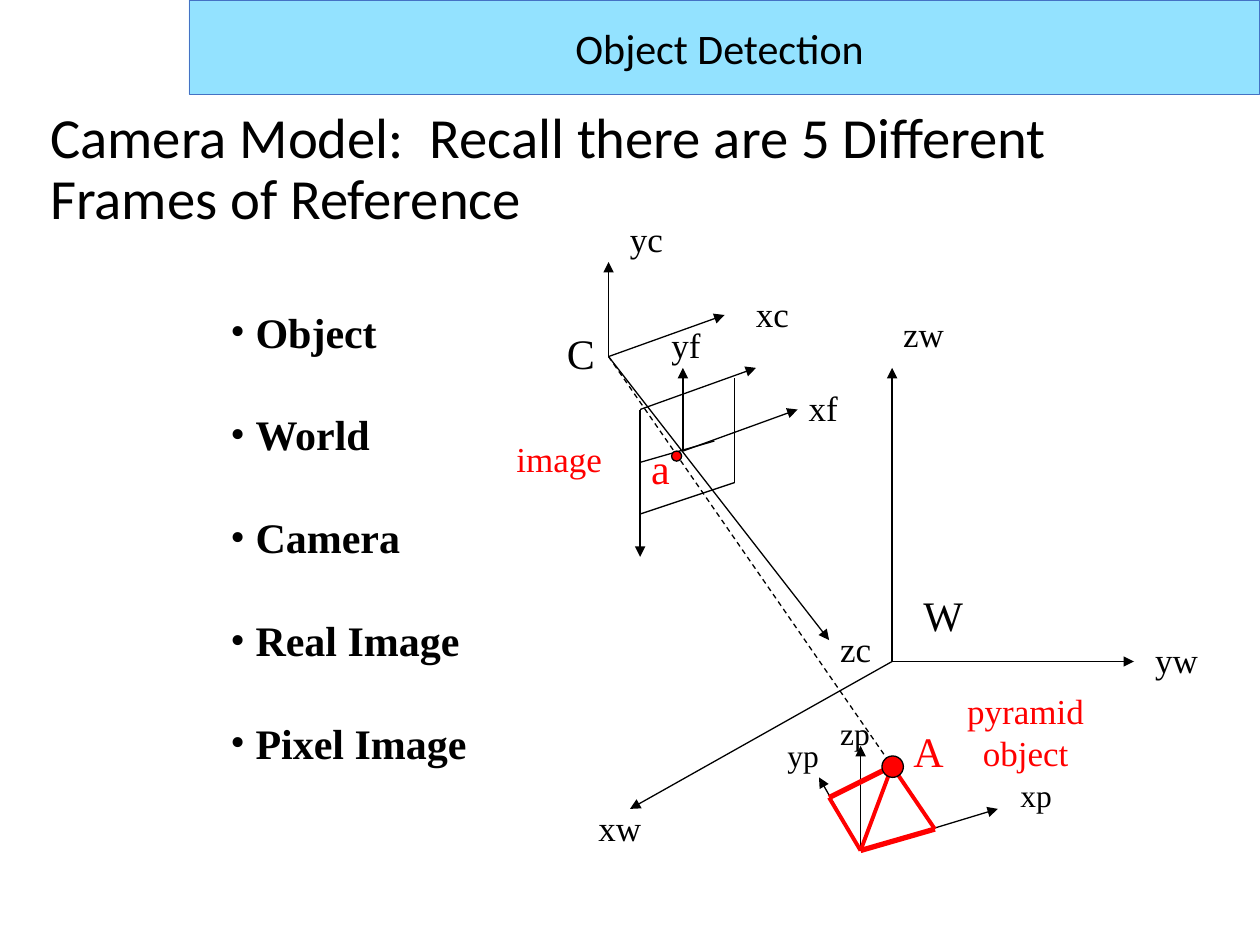
from pptx import Presentation
from pptx.dml.color import RGBColor
from pptx.enum.dml import MSO_LINE
from pptx.enum.shapes import MSO_CONNECTOR, MSO_SHAPE
from pptx.enum.text import MSO_ANCHOR, PP_ALIGN
from pptx.oxml.ns import qn
from pptx.util import Inches, Pt
from lxml import etree

LINE = MSO_CONNECTOR.STRAIGHT
RECT, OVAL = MSO_SHAPE.RECTANGLE, MSO_SHAPE.OVAL
DASH = MSO_LINE.DASH
MIDDLE = MSO_ANCHOR.MIDDLE
LEFT, CENTER = PP_ALIGN.LEFT, PP_ALIGN.CENTER
BLACK, RED = "000000", "FF0000"
SERIF, SANS = "Times New Roman", "Calibri"


def paint(text):
    return RGBColor.from_string(text)


def write(frame, text, size=20, color=BLACK, font=SERIF, bold=False,
          align=LEFT, gap=0, space=1.0, bullet=None, indent=0):
    for i, row in enumerate(text.split("\n")):
        par = frame.paragraphs[0] if i == 0 else frame.add_paragraph()
        par.alignment = align
        par.line_spacing = space
        par.space_before = Pt(gap if i else 0)
        if bullet:
            props = par._p.get_or_add_pPr()
            props.set("marL", str(Inches(indent)))
            props.set("indent", str(-Inches(indent)))
            etree.SubElement(props, qn("a:buFont")).set("typeface", font)
            etree.SubElement(props, qn("a:buChar")).set("char", bullet)
        run = par.add_run()
        run.text = row
        run.font.size = Pt(size)
        run.font.name = font
        run.font.bold = bold
        run.font.color.rgb = paint(color)


class Sketch:
    def __init__(self, slide):
        self.slide = slide

    def label(self, box, text, wrap=False, top=0.05, **style):
        shape = self.slide.shapes.add_textbox(*map(Inches, box))
        frame = shape.text_frame
        frame.word_wrap = wrap
        frame.margin_top = Inches(top)
        write(frame, text, **style)

    def line(self, start, end, color=BLACK, width=0.75, arrow=False, dash=None):
        ends = map(Inches, (*start, *end))
        line = self.slide.shapes.add_connector(LINE, *ends)
        line.line.color.rgb = paint(color)
        line.line.width = Pt(width)
        if dash:
            line.line.dash_style = dash
        props = line._element.spPr
        if arrow:
            tail = etree.SubElement(props.find(qn("a:ln")), qn("a:tailEnd"))
            tail.set("type", "triangle")
        etree.SubElement(props, qn("a:effectLst"))

    def axes(self, start, *ends):
        for end in ends:
            self.line(start, end, arrow=True)

    def shape(self, kind, box, fill, edge=BLACK, width=0.75):
        shape = self.slide.shapes.add_shape(kind, *map(Inches, box))
        shape.shadow.inherit = False
        shape.fill.solid()
        shape.fill.fore_color.rgb = paint(fill)
        shape.line.color.rgb = paint(edge)
        shape.line.width = Pt(width)
        return shape

    def dot(self, left, top, size):
        self.shape(OVAL, (left, top, size, size), RED)


def main():
    deck = Presentation()
    deck.slide_width, deck.slide_height = Inches(10), Inches(7.5)
    art = Sketch(deck.slides.add_slide(deck.slide_layouts[6]))

    art.label((0.3, 0.87, 8.62, 1.45),
              "Camera Model:  Recall there are 5 Different Frames of Reference",
              wrap=True, top=0, size=32.4, font=SANS, space=0.9)
    art.label((1.73, 2.38, 2.3, 3.69),
              "Object\nWorld\nCamera\nReal Image\nPixel Image",
              wrap=True, size=24, bold=True, gap=30, bullet="•", indent=0.2)

    camera, world, focus = (4.83, 2.83), (7.08, 5.25), (5.42, 3.58)
    corner, edge = (5.08, 3.25), (5.83, 3.83)
    tip, base, left, right = (7.08, 6.08), (6.83, 6.75), (6.58, 6.33), (7.42, 6.58)

    art.axes(camera, (4.83, 2.08), (5.75, 2.5), (6.58, 5.08))
    art.axes(world, (7.08, 2.92), (9, 5.25), (5, 6.42))
    art.axes(base, (6.5, 6.17), (6.83, 5.92), (7.92, 6.42))
    art.axes(corner, (6, 2.92), (5.08, 4.42))
    art.axes(focus, (6.33, 3.25), (5.42, 2.92))
    art.line((5.83, 3), edge)
    art.line(edge, (5.08, 4.08))
    art.line((5.67, 3.5), (5.08, 3.67))
    art.line(camera, tip, dash=DASH)

    for start, end, width in ((tip, left, 3), (tip, right, 2.25),
                              (tip, base, 2.25), (base, right, 3),
                              (base, left, 2.25)):
        art.line(start, end, RED, width)
    art.dot(7, 6, 0.17)
    art.dot(5.33, 3.58, 0.08)

    names = {
        (20, 0.43, BLACK): (
            ("yc", 4.9, 1.68, 0.46), ("xc", 5.9, 2.27, 0.46),
            ("zc", 6.57, 4.93, 0.45), ("zw", 7.07, 2.43, 0.53),
            ("yw", 9.07, 5.02, 0.54), ("xw", 4.65, 6.35, 0.54),
            ("xf", 6.32, 3.02, 0.43), ("yf", 5.23, 2.52, 0.43)),
        (24, 0.5, BLACK): (("C", 4.4, 2.55, 0.42), ("W", 7.23, 4.63, 0.52)),
        (24, 0.5, RED): (("A", 7.15, 5.71, 0.44), ("a", 5.07, 3.46, 0.35)),
        (18, 0.4, BLACK): (
            ("xp", 8, 6.11, 0.45), ("yp", 6.15, 5.79, 0.45),
            ("zp", 6.57, 5.62, 0.44)),
        (20, 0.43, RED): (("image", 4, 3.42, 0.88),),
    }
    for (size, height, color), group in names.items():
        for text, x, y, width in group:
            art.label((x, y, width, height), text, size=size, color=color)
    art.label((7.49, 5.42, 1.3, 0.77), "pyramid\nobject",
              wrap=True, color=RED, align=CENTER)

    banner = art.shape(RECT, (1.5, 0, 8.5, 0.75), "93E2FF", "4472C4", 0.5)
    banner.text_frame.vertical_anchor = MIDDLE
    write(banner.text_frame, "Object Detection ", size=24, font=SANS, align=CENTER)

    deck.save("out.pptx")


if __name__ == "__main__":
    main()
